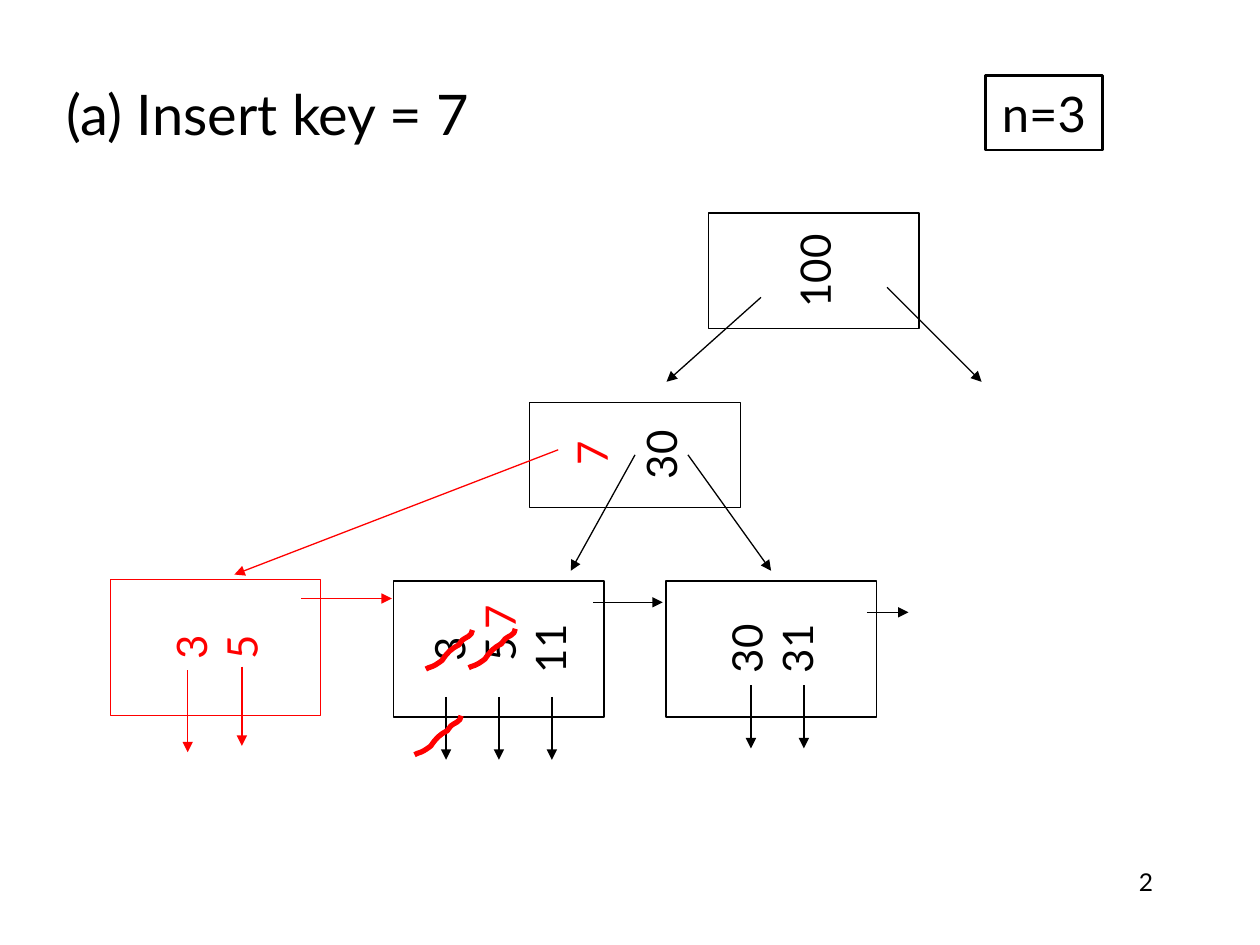
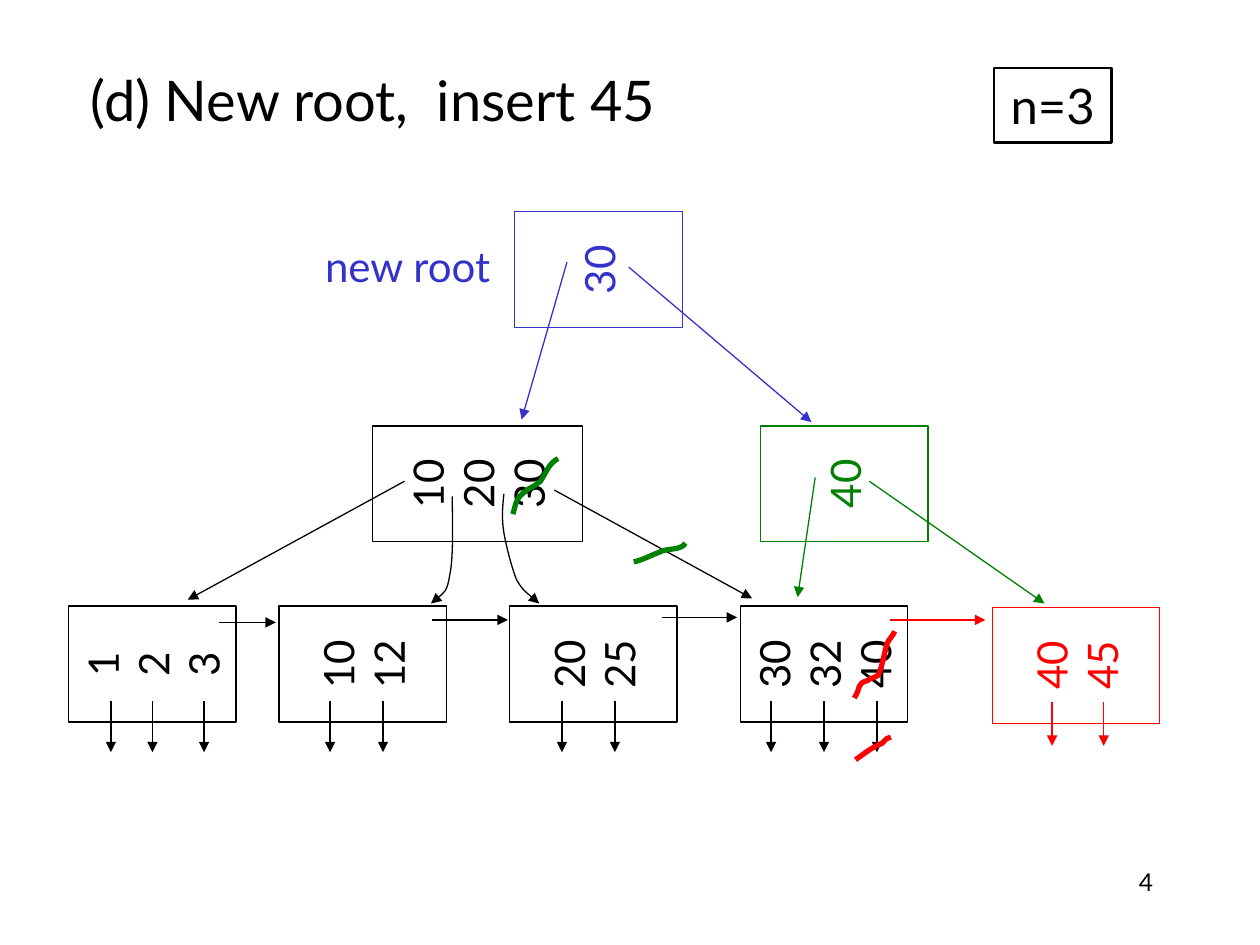
from dataclasses import dataclass
from typing import Any

from lxml import etree
from pptx import Presentation
from pptx.dml.color import RGBColor
from pptx.enum.shapes import MSO_CONNECTOR, MSO_SHAPE
from pptx.enum.text import MSO_ANCHOR, MSO_AUTO_SIZE, PP_ALIGN
from pptx.oxml.ns import qn
from pptx.util import Inches, Pt

FONT = "Lato"
COLORS = {
    "black": "000000",
    "white": "FFFFFF",
    "red": "FF0000",
    "green": "008000",
    "blue": "3333CC",
}
KEY_SIZE = 24
THIN, FRAME, STROKE = 0.75, 1.5, 3
TITLE_ONLY = 5

Point = tuple[float, float]
Box = tuple[float, float, float, float]


@dataclass
class Node:
    center: Point
    width: float
    height: float
    keys: list[str]
    color: str = "black"
    inset: float = 0.05


@dataclass
class Arrow:
    start: Point
    end: Point
    color: str = "black"


@dataclass
class Label:
    box: Box
    text: str
    color: str
    rotation: int = 0


@dataclass
class Curve:
    points: list[Point]
    color: str = "black"
    width: float = STROKE
    arrow: bool = False


@dataclass
class TreeSlide:
    title: str
    title_box: Box
    number: str
    order_at: Point
    nodes: list[Node]
    arrows: list[Arrow]
    labels: list[Label]
    curves: list[Curve]


def rgb(name: str) -> RGBColor:
    return RGBColor.from_string(COLORS[name])


def inches(values: tuple[float, ...]) -> list[int]:
    return [Inches(value) for value in values]


def write(shape: Any, lines: list[str], size: int, color: str = "black",
          align: PP_ALIGN = PP_ALIGN.CENTER, anchor: MSO_ANCHOR = MSO_ANCHOR.MIDDLE,
          wrap: bool = False) -> None:
    frame = shape.text_frame
    frame.word_wrap = wrap
    frame.auto_size = MSO_AUTO_SIZE.NONE
    frame.vertical_anchor = anchor
    for index, line in enumerate(lines):
        paragraph = frame.add_paragraph() if index else frame.paragraphs[0]
        paragraph.alignment = align
        run = paragraph.add_run()
        run.text = line
        run.font.name = FONT
        run.font.size = Pt(size)
        run.font.color.rgb = rgb(color)


def style_line(shape: Any, color: str, width: float, arrow: bool = False) -> None:
    shape.line.color.rgb = rgb(color)
    shape.line.width = Pt(width)
    if arrow:
        line = shape.element.spPr.find(qn("a:ln"))
        etree.SubElement(line, qn("a:tailEnd"), type="triangle")


def draw_rect(slide: Any, box: Box, color: str, width: float) -> Any:
    rect = slide.shapes.add_shape(MSO_SHAPE.RECTANGLE, *inches(box))
    rect.shadow.inherit = False
    style_line(rect, color, width)
    return rect


def draw_node(slide: Any, node: Node) -> None:
    x, y = node.center
    box = (x - node.height / 2, y - node.width / 2, node.height, node.width)
    rect = draw_rect(slide, box, node.color, THIN)
    rect.rotation = 270
    rect.fill.solid()
    rect.fill.fore_color.rgb = rgb("white")
    rect.text_frame.margin_top = Inches(node.inset)
    write(rect, node.keys, KEY_SIZE, node.color)


def draw_arrow(slide: Any, arrow: Arrow) -> None:
    line = slide.shapes.add_connector(
        MSO_CONNECTOR.STRAIGHT, *inches(arrow.start + arrow.end))
    style_line(line, arrow.color, THIN, arrow=True)
    etree.SubElement(line.element.spPr, qn("a:effectLst"))


def draw_label(slide: Any, label: Label) -> None:
    box = slide.shapes.add_textbox(*inches(label.box))
    box.rotation = label.rotation
    write(box, [label.text], KEY_SIZE, label.color)


def draw_curve(slide: Any, curve: Curve) -> None:
    start, *rest = [inches(point) for point in curve.points]
    builder = slide.shapes.build_freeform(*start)
    builder.add_line_segments(rest, close=False)
    shape = builder.convert_to_shape()
    shape.shadow.inherit = False
    shape.fill.background()
    style_line(shape, curve.color, curve.width, curve.arrow)
    path = next(shape.element.iter(qn("a:path")))
    segments = path.findall(qn("a:lnTo"))
    for first in range(0, len(segments), 3):
        bezier = etree.SubElement(path, qn("a:cubicBezTo"))
        for segment in segments[first:first + 3]:
            bezier.append(segment[0])
            path.remove(segment)


def draw_slide(prs: Any, spec: TreeSlide) -> None:
    slide = prs.slides.add_slide(prs.slide_layouts[TITLE_ONLY])
    title = slide.shapes.title
    title.left, title.top, title.width, title.height = inches(spec.title_box)
    write(title, [spec.title], 32, align=PP_ALIGN.LEFT, anchor=MSO_ANCHOR.TOP, wrap=True)

    number = slide.shapes.add_textbox(*inches((7.17, 6.83, 2.08, 0.5)))
    write(number, [spec.number], 14, align=PP_ALIGN.RIGHT, anchor=MSO_ANCHOR.TOP, wrap=True)

    order = draw_rect(slide, spec.order_at + (0.93, 0.59), "black", FRAME)
    order.fill.background()
    write(order, ["n=3"], 28)

    for node in spec.nodes:
        draw_node(slide, node)
    for arrow in spec.arrows:
        draw_arrow(slide, arrow)
    for label in spec.labels:
        draw_label(slide, label)
    for curve in spec.curves:
        draw_curve(slide, curve)


def drops(xs: list[float], top: float, bottom: float, color: str = "black") -> list[Arrow]:
    return [Arrow((x, top), (x, bottom), color) for x in xs]


def level(start: float, end: float, y: float, color: str = "black") -> Arrow:
    return Arrow((start, y), (end, y), color)


def strike(x: float, y: float) -> Curve:
    wave = [(0, 0.31), (0.01, 0.3), (0.03, 0.3), (0.05, 0.29), (0.08, 0.28),
            (0.13, 0.24), (0.13, 0.24), (0.17, 0.18), (0.2, 0.15), (0.26, 0.12),
            (0.27, 0.11), (0.27, 0.1), (0.29, 0.08), (0.31, 0.06), (0.37, 0.05),
            (0.37, 0)]
    return Curve([(x + dx, y + dy) for dx, dy in wave], "red")


def leaf(x: float, keys: list[str]) -> Node:
    return Node((x, 5.27), 1.33, 0.92, keys)


insert_key = TreeSlide(
    title="(a) Insert key = 7",
    title_box=(0.43, 0.58, 7, 0.65),
    number="2",
    order_at=(7.82, 0.6),
    nodes=[
        Node((6.46, 2.15), 1.67, 0.92, ["100"]),
        Node((5.04, 3.61), 1.67, 0.83, ["30"], inset=0.45),
        Node((1.71, 5.14), 1.67, 1.08, ["3", "5"], "red"),
        Node((3.96, 5.15), 1.67, 1.08, ["3", "5", "11"]),
        Node((6.12, 5.15), 1.67, 1.08, ["30", "31"]),
    ],
    arrows=[
        Arrow((6.04, 2.36), (5.29, 3.03)),
        Arrow((7.04, 2.28), (7.79, 3.03)),
        Arrow((4.43, 3.57), (1.86, 4.56), "red"),
        Arrow((5.04, 3.61), (4.53, 4.53)),
        Arrow((5.46, 3.61), (6.12, 4.53)),
        level(2.39, 3.11, 4.75, "red"),
        level(4.71, 5.26, 4.78),
        level(6.88, 7.21, 4.86),
        *drops([1.49], 5.32, 5.97, "red"),
        *drops([1.92], 5.29, 5.92, "red"),
        *drops([3.54, 3.96, 4.38], 5.53, 6.03),
        *drops([5.96, 6.38], 5.44, 5.94),
    ],
    labels=[
        Label((3.77, 4.65, 0.38, 0.5), "7", "red", 270),
        Label((4.5, 3.35, 0.38, 0.5), "7", "red", 270),
    ],
    curves=[strike(3.38, 5), strike(3.72, 4.99), strike(3.29, 5.68)],
)

new_root = TreeSlide(
    title="(d) New root,  insert 45",
    title_box=(0.62, 0.47, 5.31, 0.72),
    number="4",
    order_at=(7.89, 0.54),
    nodes=[
        Node((4.75, 2.14), 1.33, 0.92, ["30"], "blue"),
        Node((3.79, 3.84), 1.67, 0.92, ["10", "20", "30"]),
        Node((6.7, 3.84), 1.33, 0.92, ["40"], "green"),
        leaf(1.21, ["1", "2", "3"]),
        leaf(2.88, ["10", "12"]),
        leaf(4.71, ["20", "25"]),
        leaf(6.54, ["30", "32", "40"]),
        Node((8.54, 5.28), 1.33, 0.92, ["40", "45"], "red"),
    ],
    arrows=[
        Arrow((4.5, 2.08), (4.14, 3.33), "blue"),
        Arrow((4.99, 2.12), (6.44, 3.35), "blue"),
        Arrow((3.21, 3.82), (1.49, 4.76)),
        Arrow((4.4, 3.89), (5.97, 4.75)),
        Arrow((6.47, 3.79), (6.33, 4.74), "green"),
        Arrow((6.9, 3.82), (8.29, 4.79), "green"),
        level(1.74, 2.19, 4.94),
        level(3.43, 4.03, 4.92),
        level(5.25, 5.85, 4.9),
        level(7.06, 7.82, 4.92, "red"),
        *drops([0.88, 1.21, 1.62, 2.62, 3.04, 4.46, 4.88, 6.12, 6.54, 6.96], 5.56, 5.97),
        *drops([8.35, 8.76], 5.57, 5.92, "red"),
    ],
    labels=[Label((2.48, 1.86, 1.51, 0.5), "new root", "blue")],
    curves=[
        Curve([(3.59, 3.94), (3.59, 4.18), (3.6, 4.42), (3.57, 4.56), (3.55, 4.7),
               (3.48, 4.74), (3.42, 4.79)], width=THIN, arrow=True),
        Curve([(4, 3.92), (3.99, 4.01), (3.98, 4.11), (4, 4.23), (4.02, 4.34),
               (4.06, 4.5), (4.1, 4.6), (4.15, 4.69), (4.25, 4.76), (4.28, 4.79)],
              width=THIN, arrow=True),
        Curve([(6.78, 5.54), (6.84, 5.45), (6.79, 5.43), (6.89, 5.4), (6.9, 5.39),
               (6.91, 5.38), (6.93, 5.38), (6.94, 5.37), (6.96, 5.37), (6.97, 5.36),
               (6.98, 5.35), (6.98, 5.32), (6.99, 5.31), (7.01, 5.24), (7.02, 5.18),
               (7.04, 5.11), (7.05, 5.08), (7.1, 5.03), (7.1, 5.01)], "red"),
        Curve([(6.79, 6.03), (6.86, 5.98), (6.92, 5.93), (7, 5.9), (7.05, 5.85),
               (7.02, 5.87), (7.07, 5.85)], "red"),
        Curve([(4.07, 4.08), (4.1, 3.99), (4.09, 3.96), (4.17, 3.9), (4.19, 3.88),
               (4.22, 3.87), (4.25, 3.85), (4.26, 3.84), (4.29, 3.82), (4.29, 3.82),
               (4.33, 3.76), (4.36, 3.67), (4.43, 3.64)], "green"),
        Curve([(5.03, 4.46), (5.11, 4.44), (5.16, 4.41), (5.24, 4.38), (5.29, 4.35),
               (5.41, 4.37), (5.44, 4.31)], "green"),
    ],
)

prs = Presentation()
prs.slide_width = Inches(10)
prs.slide_height = Inches(7.5)
for tree_slide in (insert_key, new_root):
    draw_slide(prs, tree_slide)
prs.save("out.pptx")
